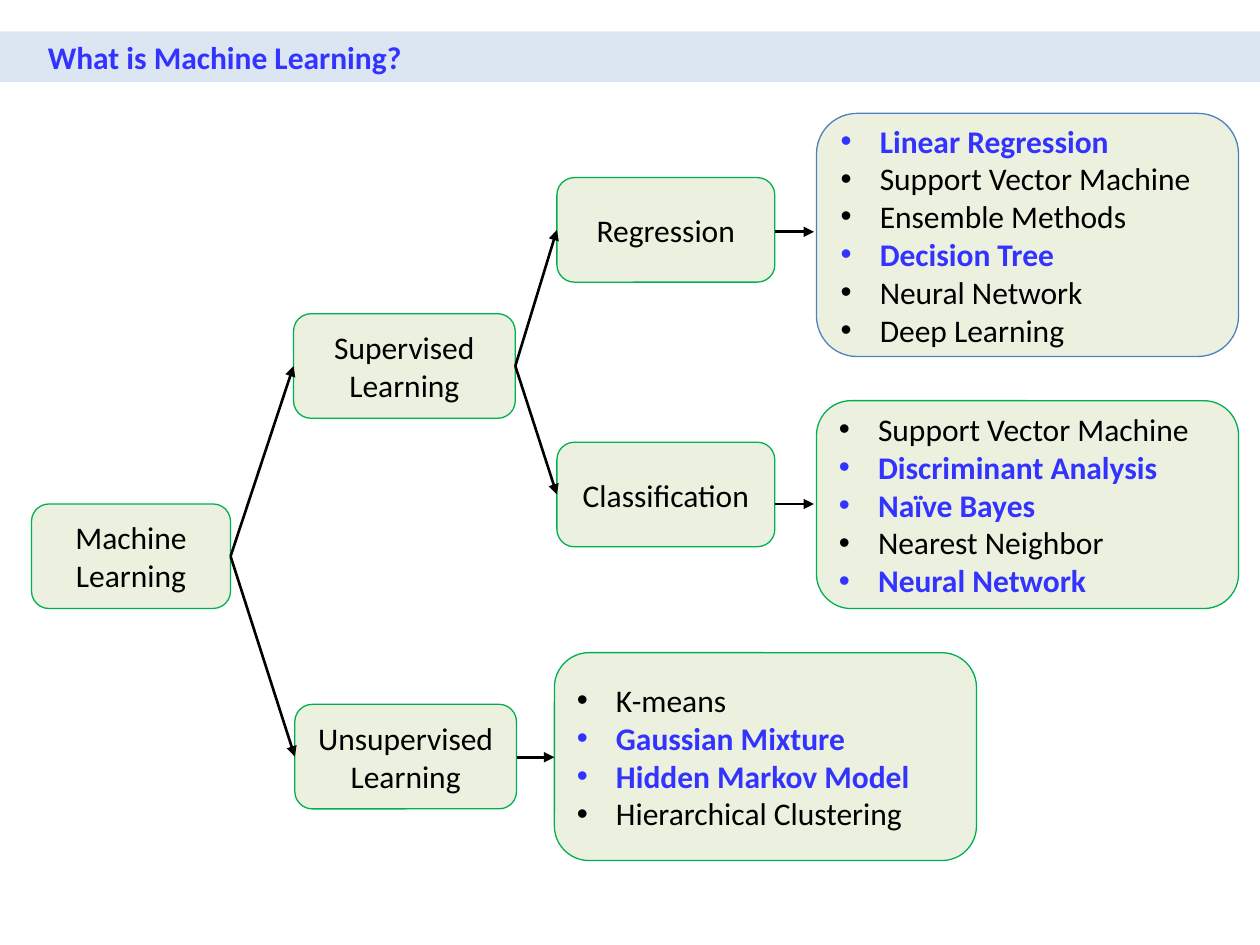
"""Build a slide that shows the branches of machine learning as a tree."""
from lxml.etree import SubElement
from pptx import Presentation
from pptx.dml.color import RGBColor
from pptx.enum.shapes import MSO_CONNECTOR, MSO_SHAPE
from pptx.enum.text import MSO_ANCHOR, PP_ALIGN
from pptx.oxml.ns import qn
from pptx.util import Inches, Pt

WIDE, HIGH = 10, 7.5
HUES = {"band": "DCE6F2", "box": "EBF1DE", "edge": "00B050",
        "rim": "4F81BD", "key": "3333FF", "ink": "000000"}
TITLE = "What is Machine Learning?"

# name: (left, top, width, lines)
STEP = 0.83
NODES = {
    "root": (0.25, 4, 1.58, ["Machine Learning"]),
    "sup": (2.33, 2.49, 1.76, ["Supervised", "Learning"]),
    "uns": (2.34, 5.59, 1.76, ["Unsupervised", "Learning"]),
    "reg": (4.42, 1.41, 1.73, ["Regression"]),
    "cls": (4.42, 3.51, 1.73, ["Classification"]),
}
SPAN = 3.35
LISTS = {
    "reg list": (6.48, 0.9, 1.93, "rim", [
        ("Linear Regression", True), ("Support Vector Machine", False),
        ("Ensemble Methods", False), ("Decision Tree", True),
        ("Neural Network", False), ("Deep Learning", False)]),
    "cls list": (6.48, 3.18, 1.65, "edge", [
        ("Support Vector Machine", False), ("Discriminant Analysis", True),
        ("Naïve Bayes", True), ("Nearest Neighbor", False),
        ("Neural Network", True)]),
    "uns list": (4.4, 5.18, 1.65, "edge", [
        ("K-means", False), ("Gaussian Mixture", True),
        ("Hidden Markov Model", True), ("Hierarchical Clustering", False)]),
}
FORKS = [("root", "sup"), ("root", "uns"), ("sup", "reg"), ("sup", "cls")]
LEVELS = [("uns", "uns list", 6.01, 0), ("reg", "reg list", 1.84, 0.02),
          ("cls", "cls list", 4, 0.02)]


def tint(name):
    return RGBColor.from_string(HUES[name])


def add_box(slide, kind, area, fill, edge=None):
    box = slide.shapes.add_shape(kind, *map(Inches, area))
    box.shadow.inherit = False
    box.fill.solid()
    box.fill.fore_color.rgb = tint(fill)
    if edge:
        box.line.color.rgb = tint(edge)
        box.line.width = Pt(0.75)
    else:
        box.line.fill.background()
    box.text_frame.word_wrap = True
    box.text_frame.vertical_anchor = MSO_ANCHOR.MIDDLE
    return box


def write(frame, rows, align, bullet=False):
    for i, (text, key) in enumerate(rows):
        para = frame.add_paragraph() if i else frame.paragraphs[0]
        para.text = text
        para.alignment = align
        if bullet:
            props = para._p.get_or_add_pPr()
            props.set("marL", str(Inches(0.31)))
            props.set("indent", str(-Inches(0.31)))
            SubElement(props, qn("a:buFont")).set("typeface", "Arial")
            SubElement(props, qn("a:buChar")).set("char", "•")
        font = para.font
        font.name, font.size, font.bold = "Calibri", Pt(18), key
        font.color.rgb = tint("key" if key else "ink")


def add_arrow(slide, start, end):
    line = slide.shapes.add_connector(
        MSO_CONNECTOR.STRAIGHT, *map(Inches, (*start, *end)))
    line.line.color.rgb = tint("ink")
    line.line.width = Pt(1.5)
    tail = SubElement(line.line._get_or_add_ln(), qn("a:tailEnd"))
    tail.set("type", "triangle")
    SubElement(line._element.spPr, qn("a:effectLst"))


def main():
    deck = Presentation()
    deck.slide_width, deck.slide_height = Inches(WIDE), Inches(HIGH)
    slide = deck.slides.add_slide(deck.slide_layouts[6])

    band = add_box(slide, MSO_SHAPE.RECTANGLE, (0, 0.25, WIDE, 0.4), "band")
    band.text_frame.margin_left = Inches(0.38)
    write(band.text_frame, [(TITLE, True)], PP_ALIGN.LEFT)

    left, right, mid = {}, {}, {}
    for name, (x, y, w, rows) in NODES.items():
        box = add_box(slide, MSO_SHAPE.ROUNDED_RECTANGLE,
                      (x, y, w, STEP), "box", "edge")
        write(box.text_frame, [(row, False) for row in rows], PP_ALIGN.CENTER)
        left[name], right[name], mid[name] = x, x + w, y + STEP / 2
    for name, (x, y, h, edge, rows) in LISTS.items():
        box = add_box(slide, MSO_SHAPE.ROUNDED_RECTANGLE,
                      (x, y, SPAN, h), "box", edge)
        write(box.text_frame, rows, PP_ALIGN.LEFT, bullet=True)
        left[name] = x

    for a, b in FORKS:
        add_arrow(slide, (right[a], mid[a]), (left[b], mid[b]))
    for a, b, y, gap in LEVELS:
        add_arrow(slide, (right[a], y), (left[b] - gap, y))
    deck.save("out.pptx")


if __name__ == "__main__":
    main()
